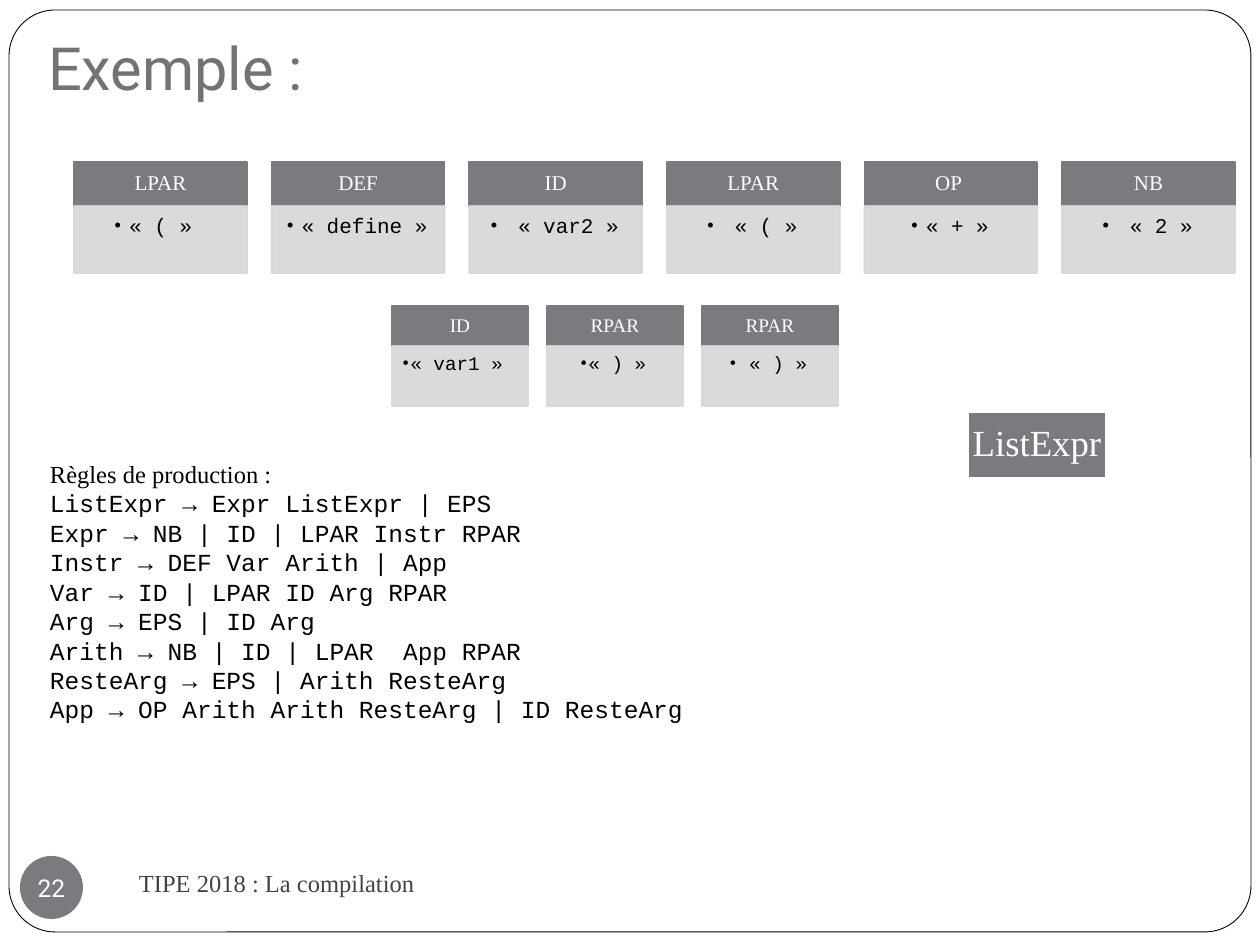
import pptx
import pptx.util
import pptx.dml.color
import pptx.enum.shapes
import pptx.enum.text
import pptx.oxml.ns
import lxml.etree

PX = 914400 / 126
SERIF, MONO, SANS = "Times New Roman", "Courier New", "Roboto"
GREY, PALE, WHITE, BLACK = "797B7E", "D7D7D8", "FFFFFF", "000000"
SHAPES = pptx.enum.shapes.MSO_SHAPE
MIDDLE = pptx.enum.text.MSO_ANCHOR.MIDDLE
CENTER = pptx.enum.text.PP_ALIGN.CENTER

TITLE = "Exemple :"
FOOTER = "TIPE 2018 : La compilation"
PAGE_NUMBER = "22"
ROOT_SYMBOL = "ListExpr"
TOKEN_ROWS = [
    dict(left=74, right=1235, top=162, width=173, head=44, body=67, size=12, indent=15, inset=9,
         tokens=[("LPAR", "« ( » "), ("DEF", "« define »"), ("ID", " « var2 »"),
                 ("LPAR", " « ( »"), ("OP ", "« + »"), ("NB", " « 2 »")]),
    dict(left=392, right=838, top=306, width=136, head=40, body=60, size=11, indent=8, inset=8,
         tokens=[("ID", "« var1 » "), ("RPAR", "« ) »"), ("RPAR", " « ) »")]),
]
RULES_HEADING = "Règles de production :"
RULES = [
    "ListExpr → Expr ListExpr | EPS",
    "Expr → NB | ID | LPAR Instr RPAR",
    "Instr → DEF Var Arith | App",
    "Var → ID | LPAR ID Arg RPAR",
    "Arg → EPS | ID Arg",
    "Arith → NB | ID | LPAR  App RPAR",
    "ResteArg → EPS | Arith ResteArg",
    "App → OP Arith Arith ResteArg | ID ResteArg",
]


def emu(px):
    return round(px * PX)


def color(value):
    return pptx.dml.color.RGBColor.from_string(value)


def set_frame(frame, insets, anchor=None, wrap=True):
    """Set insets (left, top, right, bottom in px), anchor and wrapping."""
    frame.margin_left, frame.margin_top, frame.margin_right, frame.margin_bottom = map(emu, insets)
    frame.word_wrap = wrap
    frame.vertical_anchor = anchor or pptx.enum.text.MSO_ANCHOR.TOP


def write(para, text, font, size, ink, align=None, spacing=None):
    para.text = text
    para.font.name, para.font.size = font, pptx.util.Pt(size)
    para.font.color.rgb = color(ink)
    para.alignment = align
    para.line_spacing = spacing


def add_box(page, kind, left, top, width, height, fill, line=None, weight=1):
    box = page.shapes.add_shape(kind, *map(emu, (left, top, width, height)))
    box.shadow.inherit = False
    box.fill.solid()
    box.fill.fore_color.rgb = color(fill)
    if line:
        box.line.color.rgb = color(line)
        box.line.width = pptx.util.Pt(weight)
    else:
        box.line.fill.background()
    return box


def add_text(page, left, top, width, height, anchor=None):
    frame = page.shapes.add_textbox(*map(emu, (left, top, width, height))).text_frame
    set_frame(frame, (13, 6, 13, 6), anchor)
    return frame


def set_opacity(box, percent):
    for node in list(box._element.spPr.iter(pptx.oxml.ns.qn("a:srgbClr"))):
        alpha = lxml.etree.SubElement(node, pptx.oxml.ns.qn("a:alpha"))
        alpha.set("val", str(percent * 1000))


def add_bullet(para, indent):
    props = para._p.get_or_add_pPr()
    props.set("marL", str(emu(indent)))
    props.set("indent", str(-emu(indent)))
    font = lxml.etree.SubElement(props, pptx.oxml.ns.qn("a:buFont"))
    font.set("typeface", SERIF)
    bullet = lxml.etree.SubElement(props, pptx.oxml.ns.qn("a:buChar"))
    bullet.set("char", "•")
    # The schema wants the bullet before the default run properties.
    defaults = props.find(pptx.oxml.ns.qn("a:defRPr"))
    if defaults is not None:
        props.append(defaults)


def add_token_row(page, row):
    left, top, width, head = row["left"], row["top"], row["width"], row["head"]
    pitch = (row["right"] - width - left) / (len(row["tokens"]) - 1)
    for index, (name, lexeme) in enumerate(row["tokens"]):
        x = left + index * pitch
        header = add_box(page, SHAPES.RECTANGLE, x, top, width, head, GREY, GREY)
        set_frame(header.text_frame, (11, 6, 11, 6), MIDDLE)
        write(header.text_frame.paragraphs[0], name, SERIF, row["size"], WHITE, CENTER, 0.9)

        body = add_box(page, SHAPES.RECTANGLE, x, top + head, width, row["body"], PALE, PALE)
        set_opacity(body, 90)
        set_frame(body.text_frame, (row["inset"], row["inset"], 11, 13))
        para = body.text_frame.paragraphs[0]
        write(para, lexeme, MONO, row["size"], BLACK, CENTER, 0.9)
        para.level = 1
        add_bullet(para, row["indent"])


def main():
    deck = pptx.Presentation()
    deck.slide_width, deck.slide_height = emu(1260), emu(945)
    page = deck.slides.add_slide(deck.slide_layouts[5])

    border = add_box(page, SHAPES.ROUNDED_RECTANGLE, 9, 10, 1242, 922, WHITE, BLACK, 0.5)
    border.adjustments[0] = 0.05
    page.shapes._spTree.insert(2, border._element)

    footer = add_text(page, 126, 851, 546, 63, MIDDLE)
    write(footer.paragraphs[0], FOOTER, SERIF, 14, "434342")

    badge = add_box(page, SHAPES.OVAL, 20, 856, 63, 63, GREY)
    set_frame(badge.text_frame, (0, 0, 0, 0), MIDDLE, wrap=False)
    write(badge.text_frame.paragraphs[0], PAGE_NUMBER, SANS, 14, WHITE, CENTER)

    title = page.shapes.title
    title.left, title.top, title.width, title.height = map(emu, (35, 37, 1211, 78))
    set_frame(title.text_frame, (13, 6, 13, 13), pptx.enum.text.MSO_ANCHOR.BOTTOM)
    write(title.text_frame.paragraphs[0], TITLE, SANS, 34, "737373",
          pptx.enum.text.PP_ALIGN.LEFT)

    root = add_box(page, SHAPES.RECTANGLE, 968, 412, 138, 66, GREY, WHITE)
    set_frame(root.text_frame, (1, 1, 1, 1), MIDDLE)
    write(root.text_frame.paragraphs[0], ROOT_SYMBOL, SERIF, 21, WHITE, CENTER, 0.9)

    for row in TOKEN_ROWS:
        add_token_row(page, row)

    rules = add_text(page, 37, 453, 893, 310)
    write(rules.paragraphs[0], RULES_HEADING, SERIF, 14, BLACK)
    for rule in RULES:
        write(rules.add_paragraph(), rule, MONO, 14, BLACK)

    deck.save("out.pptx")


if __name__ == "__main__":
    main()
